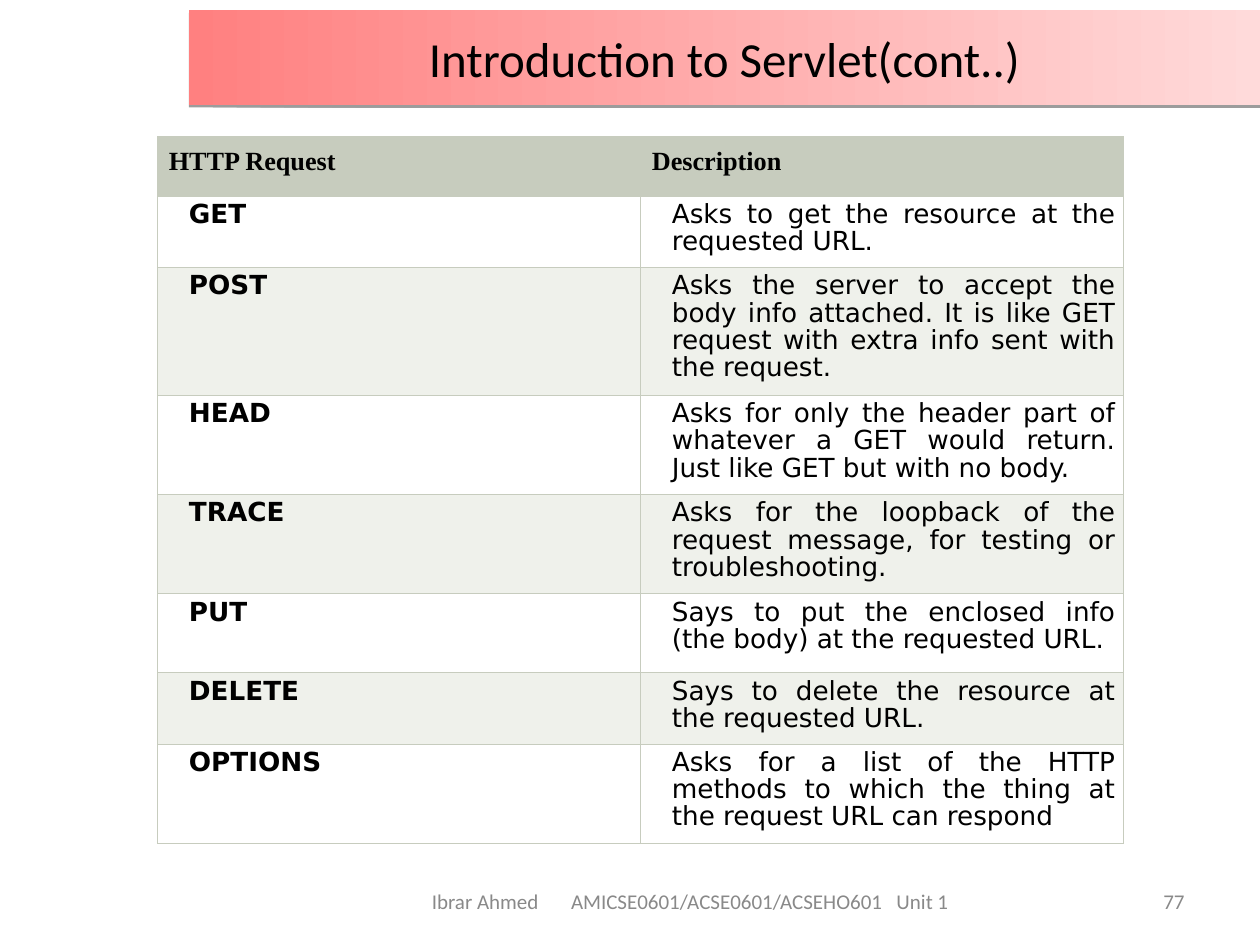
from lxml.etree import SubElement
from pptx import Presentation
from pptx.dml.color import RGBColor
from pptx.enum.shapes import MSO_SHAPE as Shape
from pptx.enum.text import MSO_ANCHOR as Anchor, PP_ALIGN as Align
from pptx.oxml.ns import qn
from pptx.util import Pt

SAGE, PALE, WHITE, GREY, BLACK = "C7CCBE", "EFF1EB", "FFFFFF", "898989", "000000"


def color(hex_text):
    return RGBColor.from_string(hex_text)


def write(holder, text, font, size, ink, align, bold=False):
    """Put one styled paragraph in a shape or cell and return it."""
    paragraph = holder.text_frame.paragraphs[0]
    paragraph.text = text
    paragraph.alignment = align
    paragraph.font.name = font
    paragraph.font.size = Pt(size)
    paragraph.font.bold = bold
    paragraph.font.color.rgb = color(ink)
    return paragraph


prs = Presentation()
prs.slide_width, prs.slide_height = Pt(720), Pt(540)
slide = prs.slides.add_slide(prs.slide_layouts[6])

# Footer, with its three parts on tab stops
footer = slide.shapes.add_textbox(Pt(198), Pt(500.4), Pt(396), Pt(28.8))
footer.text_frame.margin_left = Pt(48.8)
page = slide.shapes.add_textbox(Pt(516), Pt(500.4), Pt(168), Pt(28.8))
for box in (footer, page):
    box.text_frame.word_wrap = True
    box.text_frame.vertical_anchor = Anchor.MIDDLE
footer_line = footer.text_frame.paragraphs[0]
tabs = SubElement(footer_line._p.get_or_add_pPr(), qn("a:tabLst"))
for stop in (79.5, 265.5):
    SubElement(tabs, qn("a:tab"), pos=str(Pt(stop)), algn="l")
write(footer, "Ibrar Ahmed\tAMICSE0601/ACSE0601/ACSEHO601\tUnit 1",
      "Calibri", 12, GREY, Align.LEFT)
write(page, "77", "Calibri", 12, GREY, Align.RIGHT)

# Title band with gradient and a thin shadow below
title = slide.shapes.add_shape(Shape.RECTANGLE, Pt(108), Pt(5.8), Pt(612), Pt(54))
title.fill.gradient()
title.fill.gradient_angle = 0
for stop, shade in zip(title.fill.gradient_stops, ("FF8080", "FFDADA")):
    stop.color.rgb = color(shade)
title.line.fill.background()
title.shadow.inherit = False
effects = title._element.spPr.find(qn("a:effectLst"))
shadow = SubElement(effects, qn("a:outerShdw"), blurRad="0", dist=str(Pt(1.6)),
                    dir="5400000", algn="ctr", rotWithShape="0")
shadow_ink = SubElement(shadow, qn("a:srgbClr"), val=BLACK)
SubElement(shadow_ink, qn("a:alpha"), val="38000")
title.text_frame.word_wrap = True
title.text_frame.vertical_anchor = Anchor.MIDDLE
write(title, "Introduction to Servlet(cont..)", "Calibri", 28, BLACK, Align.CENTER)

# Table of request methods: name, description, row height
requests = [
    ("HTTP Request", "Description", 34),
    ("GET", "Asks to get the resource at the requested URL.", 40.8),
    ("POST", "Asks the server to accept the body info attached. It is like GET "
             "request with extra info sent with the request.", 73),
    ("HEAD", "Asks for only the header part of whatever a GET would return. "
             "Just like GET but with no body.", 56.8),
    ("TRACE", "Asks for the loopback of the request message, for testing or "
              "troubleshooting.", 56.8),
    ("PUT", "Says to put the enclosed info (the body) at the requested URL.", 45),
    ("DELETE", "Says to delete the resource at the requested URL.", 40.8),
    ("OPTIONS", "Asks for a list of the HTTP methods to which the thing at the "
                "request URL can respond", 56.8),
]
total_height = sum(height for _, _, height in requests)
methods = slide.shapes.add_table(len(requests), 2, Pt(90), Pt(78),
                                 Pt(552), Pt(total_height)).table
for column in methods.columns:
    column.width = Pt(276)

for row, (method, description, height) in enumerate(requests):
    methods.rows[row].height = Pt(height)
    header = row == 0
    for col, text in enumerate((method, description)):
        cell = methods.cell(row, col)
        cell.margin_left = cell.margin_right = Pt(6.5 if header else 4.5)
        cell.margin_top = cell.margin_bottom = Pt(3.6)

        # Borders go in before the fill
        for side in ("a:lnL", "a:lnR", "a:lnT", "a:lnB"):
            edge = SubElement(cell._tc.get_or_add_tcPr(), qn(side), w=str(Pt(0.45)))
            edge_fill = SubElement(edge, qn("a:solidFill"))
            SubElement(edge_fill, qn("a:srgbClr"), val=SAGE)
        cell.fill.solid()
        cell.fill.fore_color.rgb = color(SAGE if header else (PALE, WHITE)[row % 2])

        entry = write(cell, text, "Times New Roman" if header else "DejaVu Sans",
                      15, BLACK, Align.JUSTIFY, bold=header or col == 0)
        entry.line_spacing = 1.15 if header else Pt(15.6)
        if not header:
            entry._p.get_or_add_pPr().set("marL", str(Pt(13.5)))

prs.save("out.pptx")
